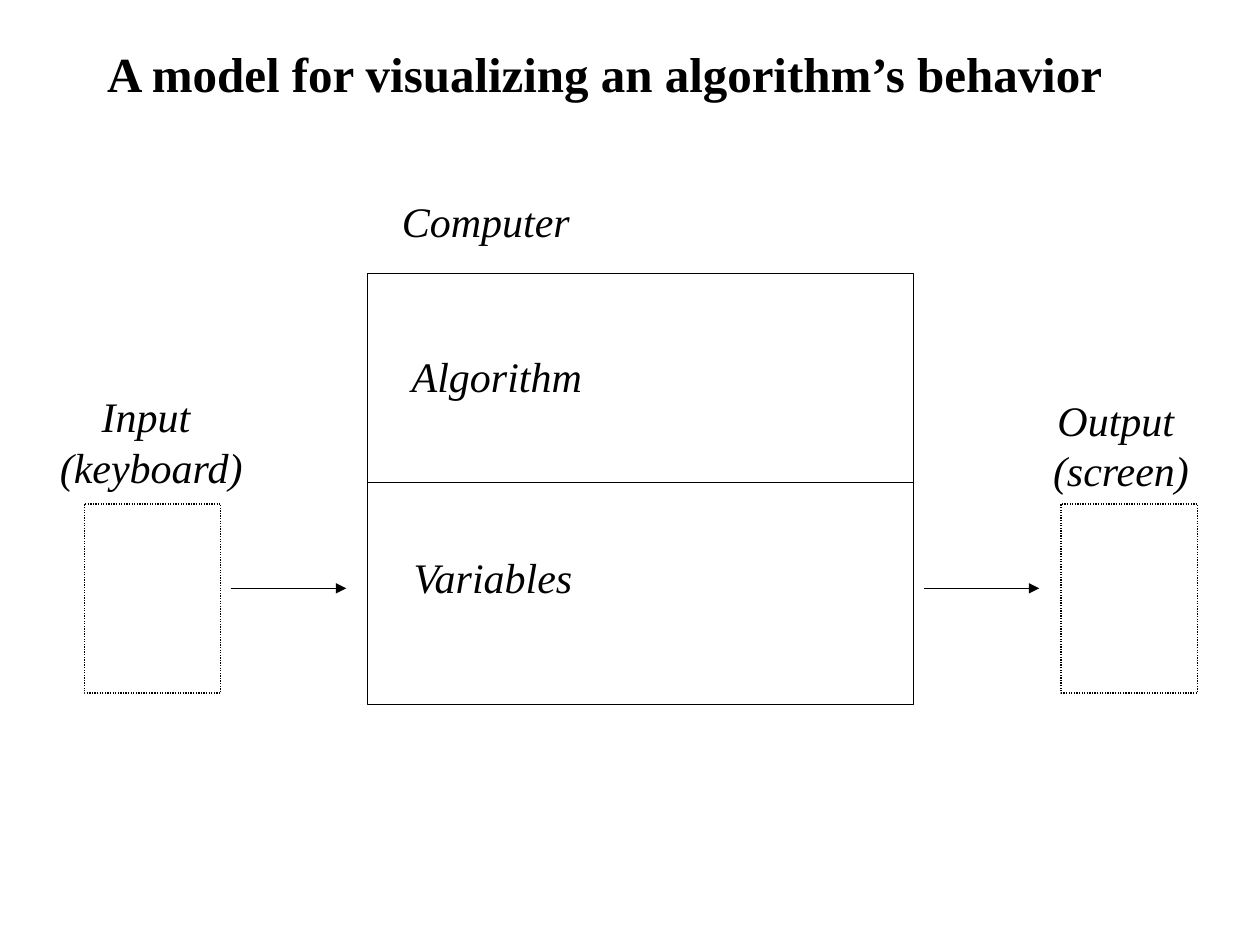
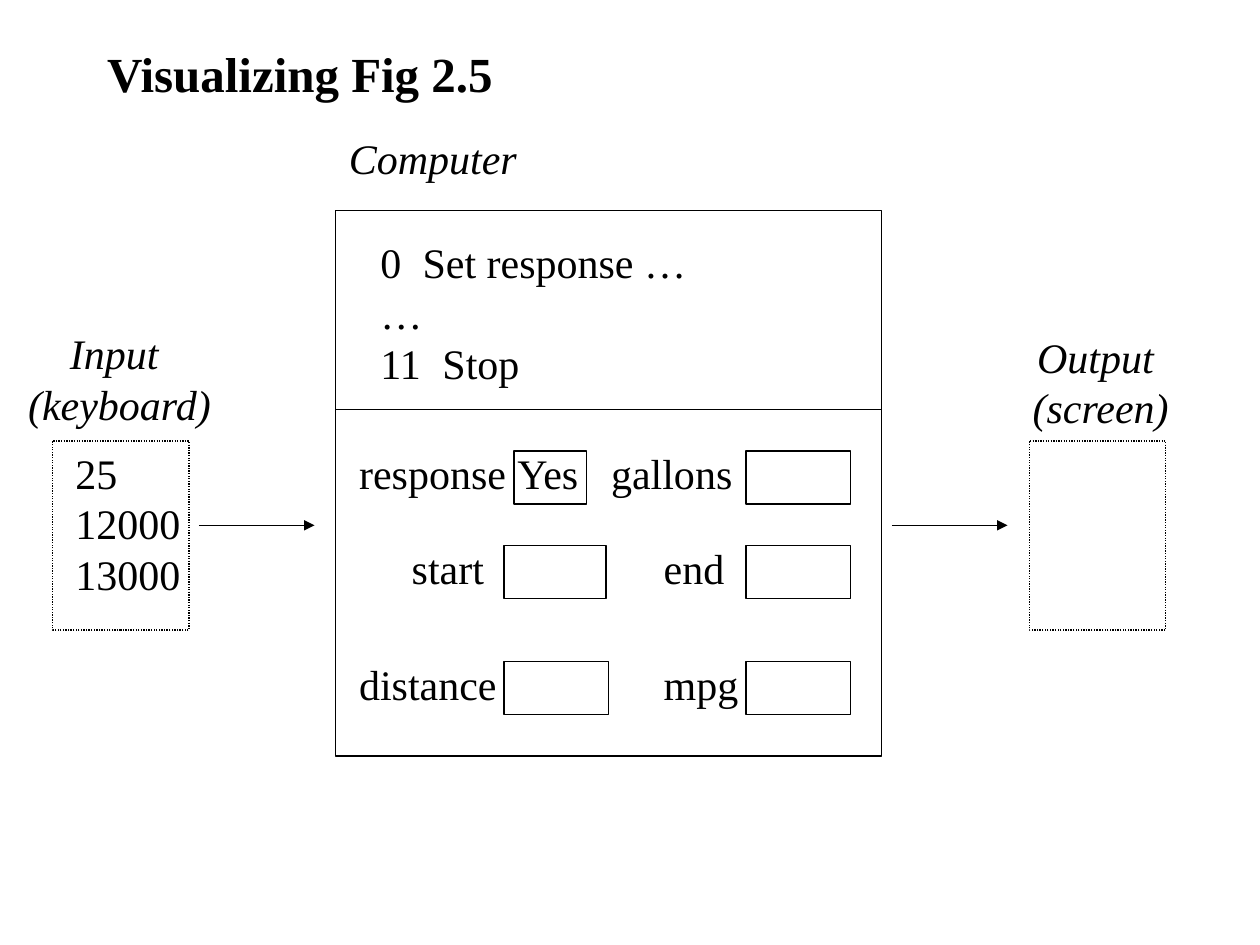
from lxml.etree import SubElement
from pptx import Presentation
from pptx.dml.color import RGBColor
from pptx.enum.dml import MSO_LINE
from pptx.enum.shapes import MSO_CONNECTOR, MSO_SHAPE
from pptx.enum.text import MSO_ANCHOR, PP_ALIGN
from pptx.oxml.ns import qn
from pptx.util import Cm, Pt

BLACK = RGBColor(0, 0, 0)
WHITE = RGBColor(255, 255, 255)
FONT = "Times New Roman"
LINE_WIDTH = Pt(0.75)
CELL_HEIGHT = 1.07
LABEL_HEIGHT = 1.27
LABEL_RISE = 0.2


def add_text(slide, text, left, top, width, height=LABEL_HEIGHT, size=24,
             bold=False, italic=False, centered=False, tab_stops=()):
    box = slide.shapes.add_textbox(Cm(left), Cm(top), Cm(width), Cm(height))
    frame = box.text_frame
    frame.word_wrap = not centered
    frame.vertical_anchor = MSO_ANCHOR.MIDDLE
    frame.text = text
    for paragraph in frame.paragraphs:
        paragraph.alignment = PP_ALIGN.CENTER if centered else PP_ALIGN.LEFT
        for run in paragraph.runs:
            font = run.font
            font.name, font.size = FONT, Pt(size)
            font.bold, font.italic = bold, italic
            font.color.rgb = BLACK
    for paragraph, stop in zip(frame.paragraphs, tab_stops):
        properties = paragraph._p.get_or_add_pPr()
        tab_list = SubElement(properties, qn("a:tabLst"))
        SubElement(tab_list, qn("a:tab"), pos=str(Cm(stop)), algn="l")


def add_box(slide, left, top, width, height, dotted=False):
    shape = slide.shapes.add_shape(
        MSO_SHAPE.RECTANGLE, Cm(left), Cm(top), Cm(width), Cm(height))
    shape.shadow.inherit = False
    shape.fill.background()
    shape.line.color.rgb = BLACK
    shape.line.width = LINE_WIDTH
    if dotted:
        shape.line.dash_style = MSO_LINE.ROUND_DOT


presentation = Presentation()
presentation.slide_width = Cm(25.4)
presentation.slide_height = Cm(19.05)

models = [
    dict(title="A model for visualizing an algorithm’s behavior",
         shift=(0, 0), computer_height=8.69, divider=9.73,
         computer_label=(7.85, 3.81), output_label=20.96),
    dict(title="Visualizing Fig 2.5",
         shift=(-0.64, -1.27), computer_height=11, divider=8.26,
         computer_label=(6.78, 2.54), output_label=20.55),
]

slides = []
for model in models:
    slide = presentation.slides.add_slide(presentation.slide_layouts[6])
    slide.background.fill.solid()
    slide.background.fill.fore_color.rgb = WHITE
    slides.append(slide)
    right, down = model["shift"]
    computer_left = 7.41 + right

    add_text(slide, model["title"], 1.91, 0.84, 21.59, size=28, bold=True)
    add_box(slide, computer_left, 5.51 + down, 11, model["computer_height"])
    add_text(slide, "Computer", *model["computer_label"], 3.89,
             italic=True, centered=True)
    add_text(slide, "Input \n(keyboard)", 0.94 + right, 7.75 + down, 4.22, 2.29,
             italic=True, centered=True)
    add_text(slide, "Output \n(screen)", model["output_label"], 7.82 + down,
             3.28, 2.29, italic=True, centered=True)
    for device_left in (1.7, 21.39):
        add_box(slide, device_left + right, 10.16 + down, 2.75, 3.81, dotted=True)

    for start, length, height, has_arrow in (
            (computer_left, 11, model["divider"], False),
            (4.65 + right, 2.33, 11.86 + down, True),
            (18.62 + right, 2.33, 11.86 + down, True)):
        connector = slide.shapes.add_connector(
            MSO_CONNECTOR.STRAIGHT, Cm(start), Cm(height),
            Cm(start + length), Cm(height))
        connector.line.color.rgb = BLACK
        connector.line.width = LINE_WIDTH
        if has_arrow:
            SubElement(connector.line._get_or_add_ln(), qn("a:tailEnd"),
                       type="triangle")
        SubElement(connector._element.spPr, qn("a:effectLst"))

overview, example = slides

add_text(overview, "Algorithm", 8.05, 6.93, 4.1, italic=True)
add_text(overview, "Variables", 8.05, 11, 3.78, italic=True, centered=True)

add_text(example, "0\tSet response …\n…\n11\tStop", 7.42, 4.65, 6.8, 3.3,
         tab_stops=(0.85, 0.85, 1.25))
add_text(example, "25\n12000\n13000", 1.27, 8.89, 2.75, 3.3)

variables = [
    ("response", 6.99, 3.6, 10.36, 9.09, 1.47),
    ("gallons", 12.07, 3.1, 15.04, 9.09, 2.11),
    ("start", 8.05, 2.1, 10.16, 11, 2.06),
    ("end", 13.13, 2.34, 15.04, 11, 2.11),
    ("distance", 6.99, 3.38, 10.16, 13.34, 2.11),
    ("mpg", 13.13, 2.11, 15.04, 13.34, 2.11),
]
for name, name_left, name_width, cell_left, cell_top, cell_width in variables:
    add_box(example, cell_left, cell_top, cell_width, CELL_HEIGHT)
    add_text(example, name, name_left, cell_top - LABEL_RISE, name_width)
add_text(example, "Yes", 10.13, 9.09 - LABEL_RISE, 1.83, centered=True)

presentation.save("out.pptx")
